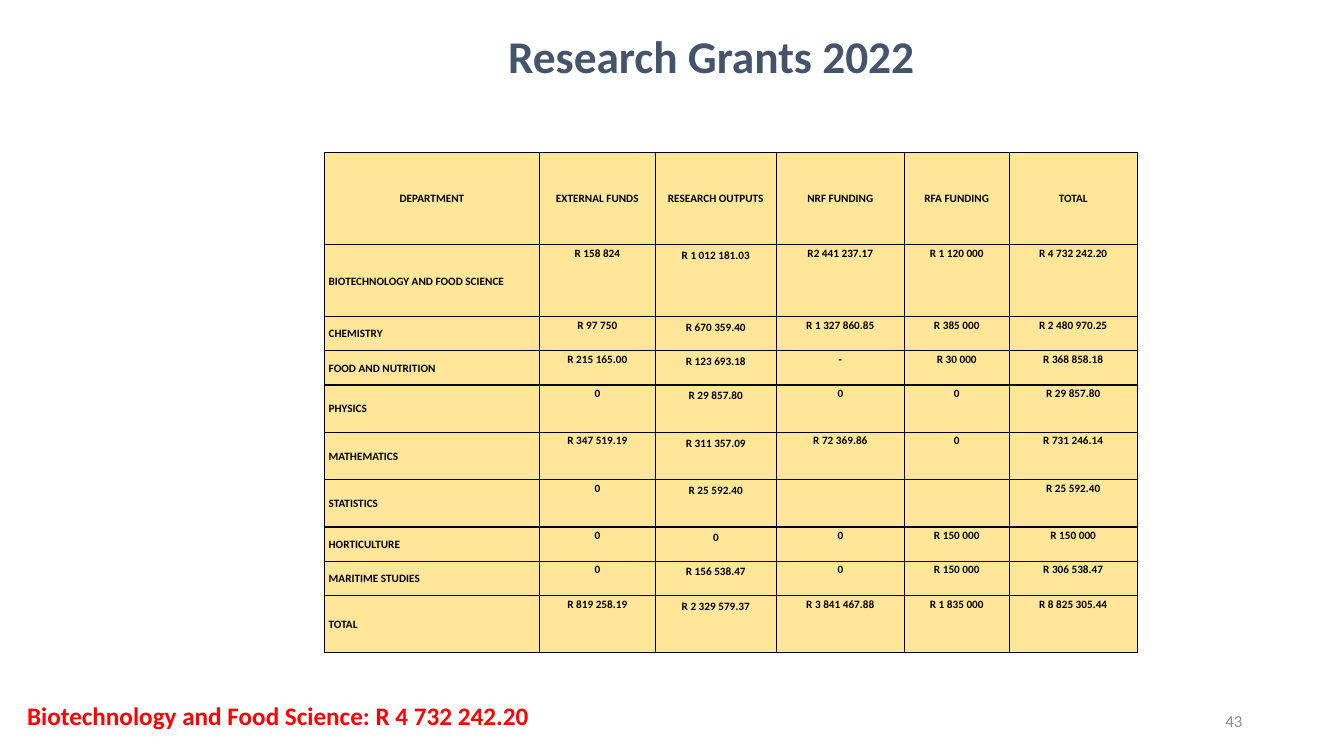
from lxml.etree import SubElement
from pptx import Presentation
from pptx.dml.color import RGBColor
from pptx.enum.text import MSO_ANCHOR as Anchor, PP_ALIGN as Align
from pptx.oxml.ns import qn
from pptx.util import Inches, Pt

TITLE = "Research Grants 2022"
CAPTION = "Biotechnology and Food Science: R 4 732 242.20"
PAGE_NUMBER = "43"
GRANTS = [
    ("DEPARTMENT", "EXTERNAL FUNDS", "RESEARCH OUTPUTS", "NRF FUNDING", "RFA FUNDING", "TOTAL"),
    ("BIOTECHNOLOGY AND FOOD SCIENCE", "R 158 824", "R 1 012 181.03", "R2 441 237.17",
     "R 1 120 000", "R 4 732 242.20"),
    ("CHEMISTRY", "R 97 750", "R 670 359.40", "R 1 327 860.85", "R 385 000", "R 2 480 970.25"),
    ("FOOD AND NUTRITION", "R 215 165.00", "R 123 693.18", "-", "R 30 000", "R 368 858.18"),
    ("PHYSICS", "0", "R 29 857.80", "0", "0", "R 29 857.80"),
    ("MATHEMATICS", "R 347 519.19", "R 311 357.09", "R 72 369.86", "0", "R 731 246.14"),
    ("STATISTICS", "0", "R 25 592.40", "", "", "R 25 592.40"),
    ("HORTICULTURE", "0", "0", "0", "R 150 000", "R 150 000"),
    ("MARITIME STUDIES", "0", "R 156 538.47", "0", "R 150 000", "R 306 538.47"),
    ("TOTAL", "R 819 258.19", "R 2 329 579.37", "R 3 841 467.88", "R 1 835 000", "R 8 825 305.44"),
]
COLUMN_WIDTHS = [2.13, 1.15, 1.2, 1.27, 1.04, 1.27]
ROW_HEIGHTS = [0.92, 0.71, 0.34, 0.34, 0.47, 0.47, 0.47, 0.34, 0.34, 0.57]
TABLE_LEFT, TABLE_TOP = 3.22, 1.51
OUTPUTS_COLUMN = 2
FONT = "Calibri"
SLATE, GREY, RED, BLACK, SAND = "44546A", "8C8C8C", "FF0000", "000000", "FFE699"


def color(hex_text):
    return RGBColor.from_string(hex_text)


def write(frame, text, size, hex_text, bold=True, align=Align.LEFT, spacing=1.0, after=0):
    para = frame.paragraphs[0]
    para.alignment = align
    para.line_spacing = spacing
    para.space_before, para.space_after = Pt(0), Pt(after)
    para.font.size = Pt(size)
    if text:
        span = para.add_run()
        span.text = text
        span.font.name, span.font.size, span.font.bold = FONT, Pt(size), bold
        span.font.color.rgb = color(hex_text)


def add_label(page, left, top, width, height, text, *style, **layout):
    box = page.shapes.add_textbox(Inches(left), Inches(top), Inches(width), Inches(height))
    frame = box.text_frame
    frame.word_wrap = True
    frame.vertical_anchor = Anchor.MIDDLE
    write(frame, text, *style, **layout)


def set_borders(cell):
    properties = cell._tc.get_or_add_tcPr()
    for position, side in enumerate(("a:lnL", "a:lnR", "a:lnT", "a:lnB")):
        line = SubElement(properties, qn(side), w=str(Pt(1)))
        fill = SubElement(line, qn("a:solidFill"))
        SubElement(fill, qn("a:srgbClr"), val=BLACK)
        properties.insert(position, line)


def format_cell(cell, row, column, text):
    is_header, is_name = row == 0, column == 0
    centred_vertically = is_header or is_name
    if centred_vertically:
        side, edge = 0.04, 0
    else:
        side = edge = 0.03 if column == OUTPUTS_COLUMN else 0.01
    cell.margin_left = cell.margin_right = Inches(side)
    cell.margin_top = cell.margin_bottom = Inches(edge)
    cell.vertical_anchor = Anchor.MIDDLE if centred_vertically else Anchor.TOP
    cell.fill.solid()
    cell.fill.fore_color.rgb = color(SAND)
    set_borders(cell)
    write(cell.text_frame, text, 8, BLACK, spacing=1.07,
          align=Align.LEFT if is_name and not is_header else Align.CENTER,
          after=0 if centred_vertically else 8)


def add_grants_table(page):
    frame = page.shapes.add_table(
        len(GRANTS), len(COLUMN_WIDTHS), Inches(TABLE_LEFT), Inches(TABLE_TOP),
        Inches(sum(COLUMN_WIDTHS)), Inches(sum(ROW_HEIGHTS)))
    table = frame.table
    table.first_row = table.horz_banding = False
    for column, width in zip(table.columns, COLUMN_WIDTHS):
        column.width = Inches(width)
    for row, height in zip(table.rows, ROW_HEIGHTS):
        row.height = Inches(height)
    for row, values in enumerate(GRANTS):
        for column, text in enumerate(values):
            format_cell(table.cell(row, column), row, column, text)


def main():
    deck = Presentation()
    deck.slide_width, deck.slide_height = Inches(13.33), Inches(7.5)
    page = deck.slides.add_slide(deck.slide_layouts[5])

    title = page.shapes.title
    title.left, title.top = Inches(2.2), Inches(0.46)
    title.width, title.height = Inches(9.71), Inches(0.42)
    title.text_frame.vertical_anchor = Anchor.BOTTOM
    write(title.text_frame, TITLE, 32.4, SLATE, align=Align.CENTER, spacing=0.9)

    add_label(page, 9.42, 6.95, 3, 0.4, PAGE_NUMBER, 12, GREY, bold=False, align=Align.RIGHT)
    add_label(page, 0.17, 6.63, 6.5, 0.97, CAPTION, 18, RED, spacing=0.9)
    add_grants_table(page)
    deck.save("out.pptx")


if __name__ == "__main__":
    main()
